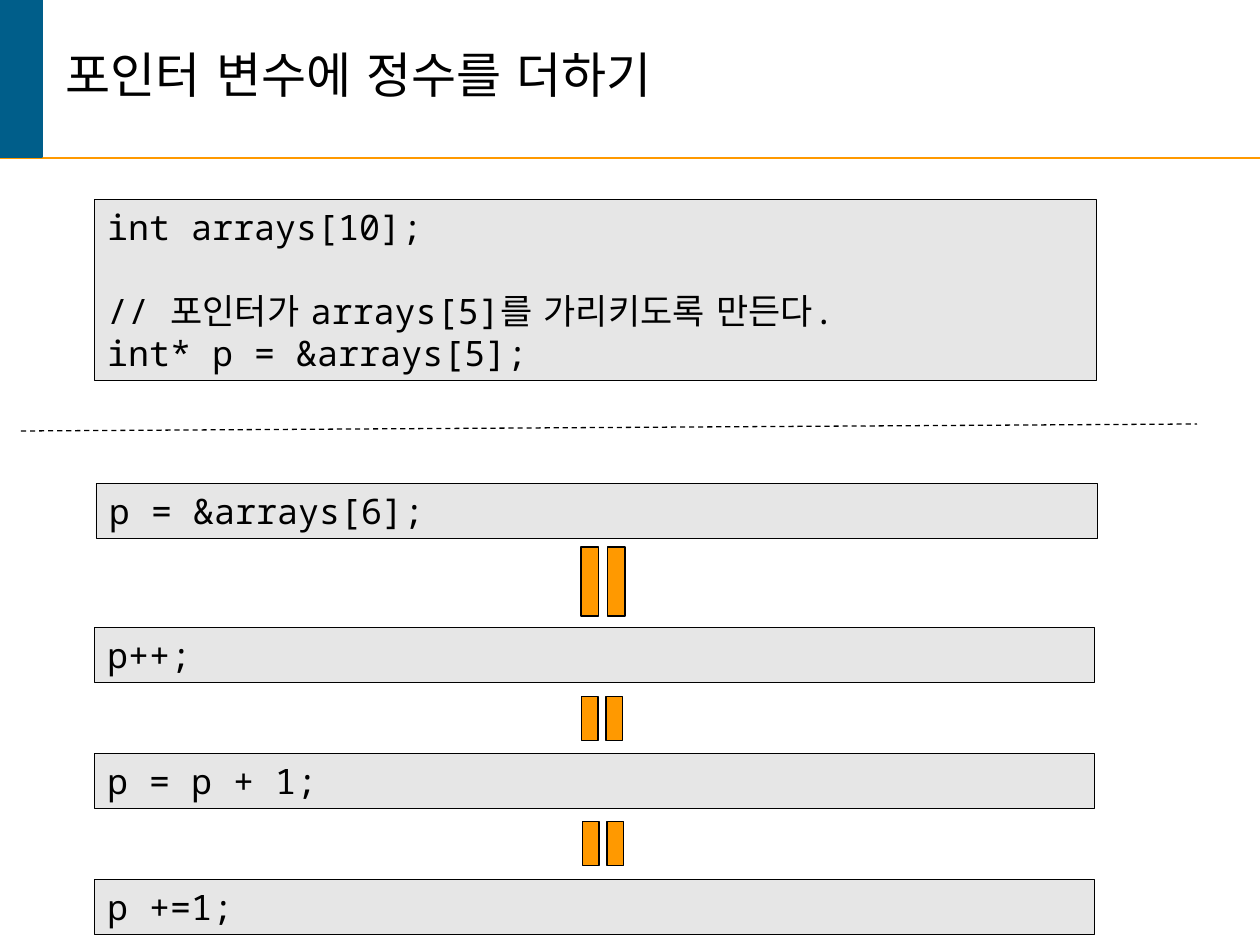
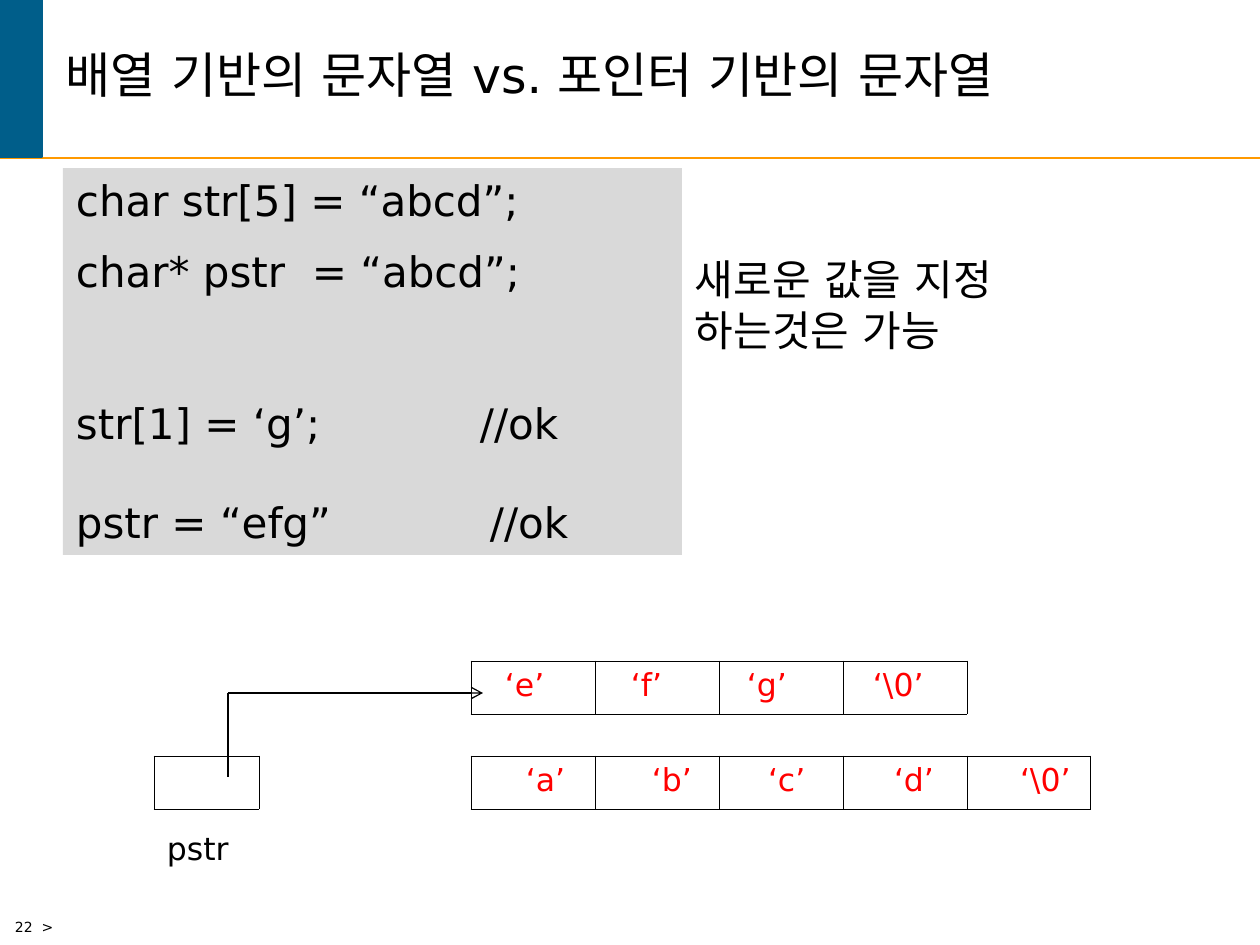
import lxml.etree
import pptx
import pptx.dml.color
import pptx.enum.dml
import pptx.enum.shapes
import pptx.enum.text
import pptx.oxml
import pptx.oxml.ns
import pptx.util

RGB = pptx.dml.color.RGBColor
SHAPE = pptx.enum.shapes.MSO_SHAPE
ANCHOR = pptx.enum.text.MSO_ANCHOR
PT = pptx.util.Pt
QN = pptx.oxml.ns.qn

BLACK = RGB(0x00, 0x00, 0x00)
RED = RGB(0xFF, 0x00, 0x00)
BLUE = RGB(0x00, 0x5E, 0x8A)
ORANGE = RGB(0xFF, 0x99, 0x00)
PALE = RGB(0xE6, 0xE6, 0xE6)
GRAY = RGB(0xD9, 0xD9, 0xD9)
SANS = "DejaVu Sans"
MONO = "Noto Sans Mono"

WIDE, HIGH = 1260, 945
SCALE = 914400 / 126
INSET_X, INSET_Y = 13, 6
CELL_W, CELL_H = 124, 53
CHAR_W, CHAR_COLS = 126, 7


def px(n):
    return pptx.util.Emu(round(n * SCALE))


def style(para, size, font=SANS, color=BLACK):
    para.alignment = pptx.enum.text.PP_ALIGN.LEFT
    for run in para.runs:
        run.font.size = PT(size)
        run.font.name = font
        run.font.color.rgb = color
        lxml.etree.SubElement(run.font._element, QN("a:ea"), typeface=SANS)


def write(frame, lines, size, font=SANS, gaps=()):
    """Fill a frame; gaps are the points of space before each line."""
    frame.word_wrap = True
    frame.vertical_anchor = ANCHOR.TOP
    frame.margin_left = frame.margin_right = px(INSET_X)
    frame.margin_top = frame.margin_bottom = px(INSET_Y)
    frame.text = "\n".join(lines)
    for para in frame.paragraphs:
        style(para, size, font)
    for para, gap in zip(frame.paragraphs, gaps):
        para.space_before = PT(gap)


def shape(slide, box, fill=None, line=None, width=0.75, kind=SHAPE.RECTANGLE):
    item = slide.shapes.add_shape(kind, *map(px, box))
    item.shadow.inherit = False
    if fill is None:
        item.fill.background()
    else:
        item.fill.solid()
        item.fill.fore_color.rgb = fill
    if line is None:
        item.line.fill.background()
    else:
        item.line.color.rgb = line
        item.line.width = PT(width)
    return item


def label(slide, box, text, size):
    item = slide.shapes.add_textbox(*map(px, box))
    write(item.text_frame, [text], size)


def rule(slide, start, end, color=BLACK, width=0.75):
    item = slide.shapes.add_connector(
        pptx.enum.shapes.MSO_CONNECTOR.STRAIGHT, *map(px, start + end))
    item.line.color.rgb = color
    item.line.width = PT(width)
    lxml.etree.SubElement(item._element.spPr, QN("a:effectLst"))
    return item


def tab(para, pos):
    props = para._p.get_or_add_pPr()
    stops = lxml.etree.SubElement(props, QN("a:tabLst"))
    lxml.etree.SubElement(stops, QN("a:tab"), pos=str(px(pos)), algn="l")


def border(cell, paint):
    """Give all four sides of a cell the same thin line."""
    props = cell._tc.get_or_add_tcPr()
    for at, side in enumerate(("lnL", "lnR", "lnT", "lnB")):
        props.insert(at, pptx.oxml.parse_xml(
            f'<a:{side} xmlns:a="http://schemas.openxmlformats.org/drawingml/2006/main"'
            f' w="{PT(0.45)}">{paint}</a:{side}>'))


def strip(slide, left, top, count, width, paint):
    """Add a table of one unfilled row and return its cells."""
    box = (left, top, width * count, CELL_H)
    table = slide.shapes.add_table(1, count, *map(px, box)).table
    table.first_row = table.horz_banding = False
    table.rows[0].height = px(CELL_H)
    for col in table.columns:
        col.width = px(width)
    for cell in table.iter_cells():
        cell.fill.background()
        border(cell, paint)
    return list(table.iter_cells())


def grid(slide, left, top, count, width=CELL_W):
    strip(slide, left, top, count, width,
          f'<a:solidFill><a:srgbClr val="{BLACK}"/></a:solidFill>')


def letters(slide, left, top, chars):
    """Lay characters over a grid; the first two sit further right."""
    row = strip(slide, left, top, CHAR_COLS, CHAR_W, "<a:noFill/>")
    for col, (cell, char) in enumerate(zip(row[1:], chars)):
        cell.margin_left = px(43 if col < 2 else 33)
        cell.margin_right = px(INSET_X)
        cell.margin_top = cell.margin_bottom = px(INSET_Y)
        cell.text_frame.text = char
        style(cell.text_frame.paragraphs[0], 18, color=RED)


def page(deck, title):
    """Add a slide with the shared band and title."""
    slide = deck.slides.add_slide(deck.slide_layouts[5])
    rule(slide, (0, 158), (WIDE, 158), ORANGE, 1.5)
    shape(slide, (0, 0, 42, 157), BLUE, BLUE, 1)
    head = slide.shapes.title
    head.left, head.top, head.width, head.height = map(px, (53, 0, 1176, 157))
    write(head.text_frame, [title], 28)
    head.text_frame.vertical_anchor = ANCHOR.MIDDLE
    head.text_frame.paragraphs[0].line_spacing = 0.85
    return slide


def code(slide, box, lines, gaps=()):
    item = shape(slide, box, PALE, BLACK, 0.25)
    write(item.text_frame, lines, 20, MONO, gaps)


def equal(slide, box):
    sign = shape(slide, box, ORANGE, BLACK, kind=SHAPE.MATH_EQUAL)
    sign.rotation = 90


def adding(deck):
    slide = page(deck, "포인터 변수에 정수를 더하기")
    code(slide, (94, 199, 1002, 181),
         ["int arrays[10];", "// 포인터가 arrays[5]를 가리키도록 만든다.",
          "int* p = &arrays[5];"], (0, 24, 0))
    code(slide, (96, 483, 1001, 55), ["p = &arrays[6];"])
    split = rule(slide, (21, 431), (1197, 424))
    split.line.dash_style = pptx.enum.dml.MSO_LINE.DASH
    for row, line in enumerate(("p++;", "p = p + 1;", "p +=1;")):
        code(slide, (94, 627 + 126 * row, 1000, 55), [line])
    equal(slide, (556, 544, 94, 75))
    for row in range(2):
        equal(slide, (572 + row, 684 + 125 * row, 60, 69))


def listing(slide, box):
    item = shape(slide, box, GRAY)
    write(item.text_frame,
          ["char str[5] = “abcd”;", "char* pstr  = “abcd”;",
           "str[1] = ‘g’;\t//ok", "pstr = “efg”\t//ok"], 24,
          gaps=(0, 12, 58, 28))
    for para, pos in zip(item.text_frame.paragraphs[2:], (404, 414)):
        tab(para, pos)


def memory(slide, left, top):
    """Draw the pointer cell, its arrow and the two strings."""
    low, mid = top + 95, top + 32
    row, stem = left + 317, left + 74
    grid(slide, row, low, 5)
    letters(slide, row - 114, low, ["‘a’", "‘b’", "‘c’", "‘d’", "‘\\0’"])
    grid(slide, left, low, 1, 105)
    label(slide, (left, low + 67, 147, 50), "pstr", 18)
    arrow = rule(slide, (stem, mid), (row + 12, mid))
    lxml.etree.SubElement(arrow.line._get_or_add_ln(), QN("a:tailEnd"),
                          type="arrow")
    grid(slide, row, top, 4)
    letters(slide, row - 135, top, ["‘e’", "‘f’", "‘g’", "‘\\0’"])
    rule(slide, (stem, low + 21), (stem, mid))


def strings(deck):
    slide = page(deck, "배열 기반의 문자열 vs. 포인터 기반의 문자열")
    label(slide, (2, 912, 176, 33), "22  >", 8)
    listing(slide, (63, 168, 619, 387))
    remark = shape(slide, (682, 248, 451, 116))
    write(remark.text_frame, ["새로운 값을 지정 하는것은 가능"], 24)
    memory(slide, 154, 661)


def main():
    deck = pptx.Presentation()
    deck.slide_width, deck.slide_height = px(WIDE), px(HIGH)
    adding(deck)
    strings(deck)
    deck.save("out.pptx")


if __name__ == "__main__":
    main()
